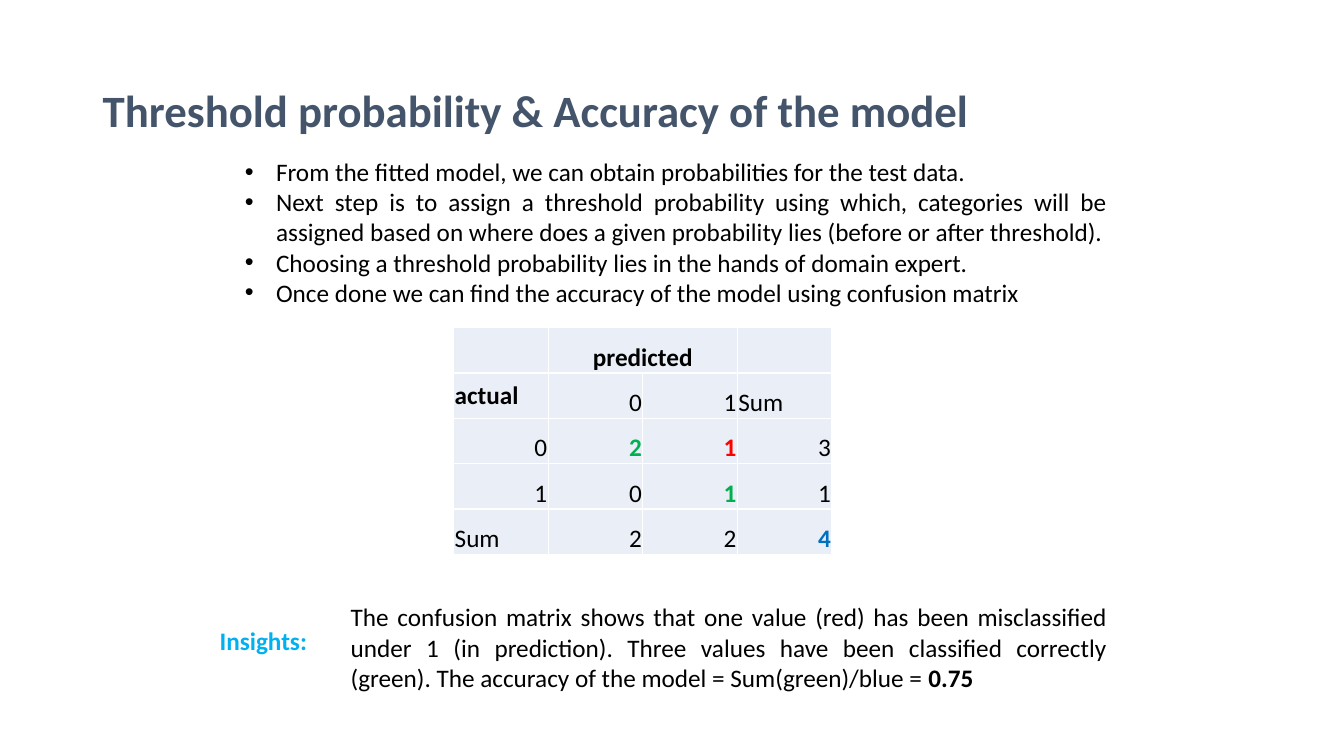
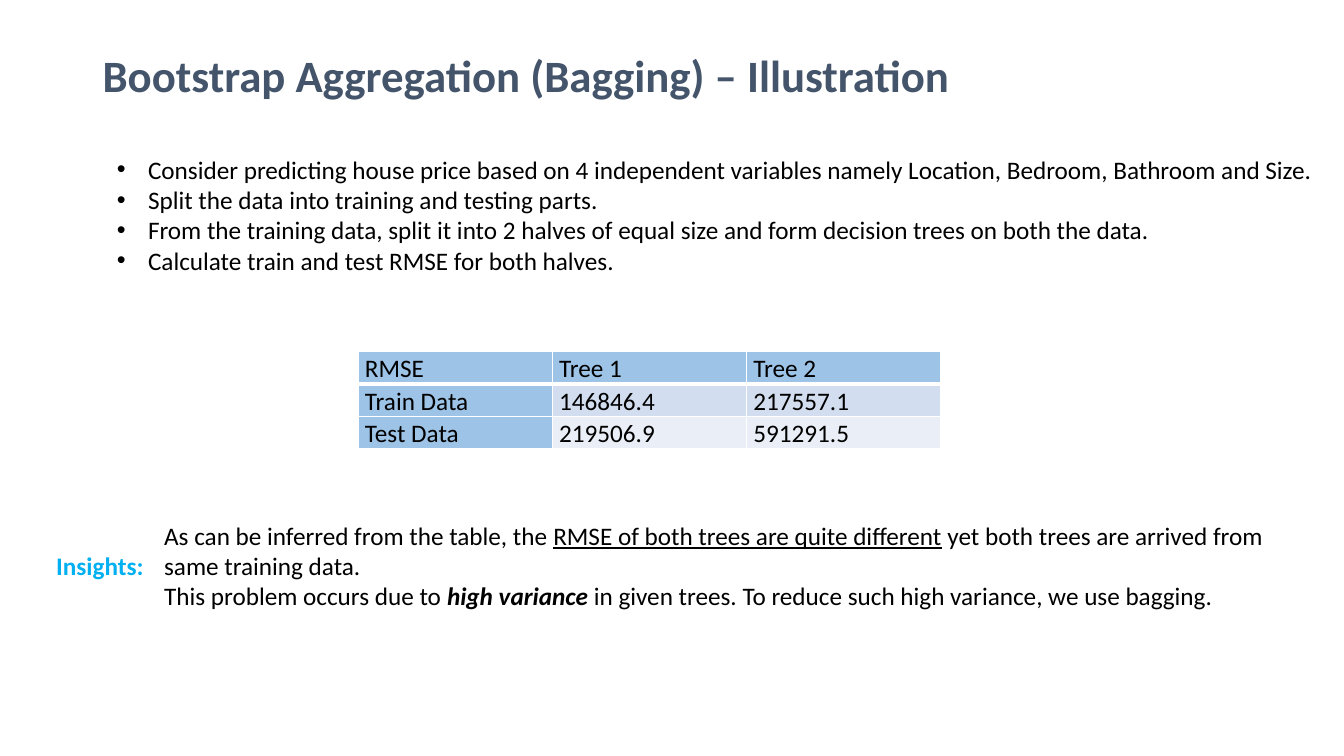
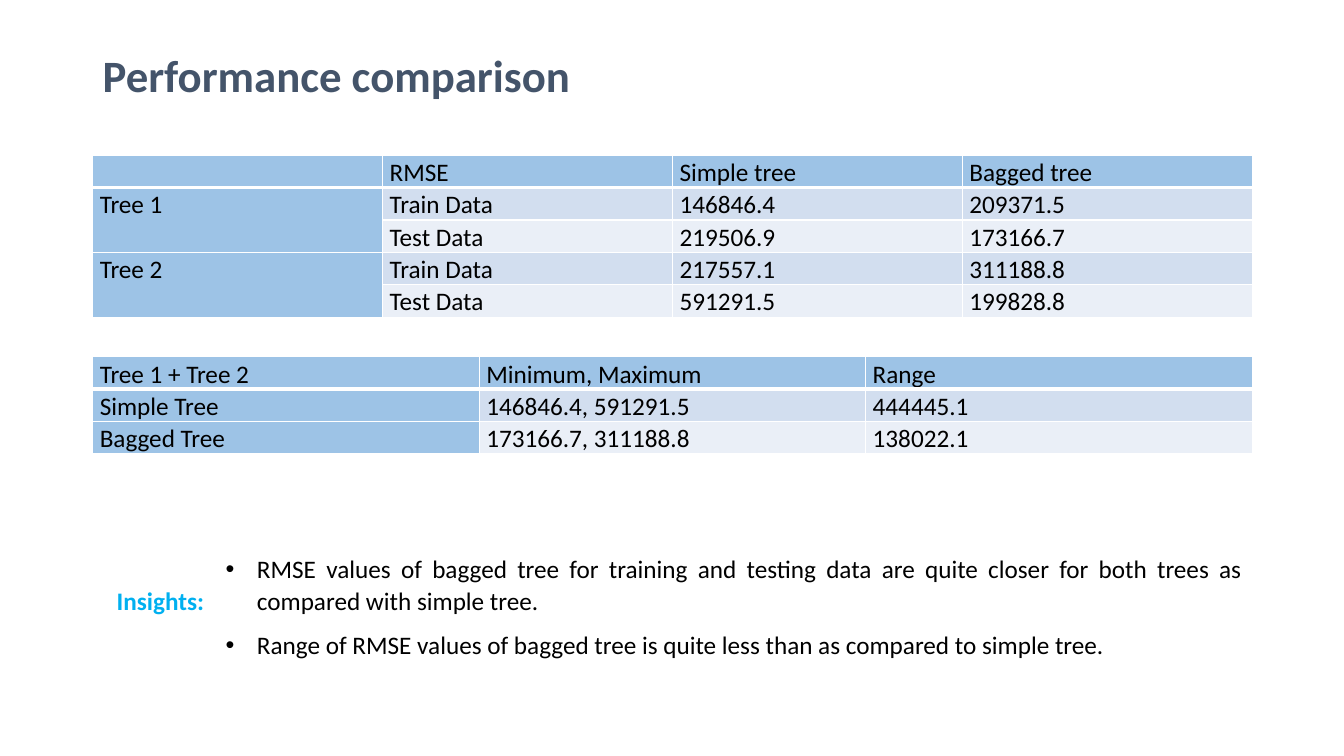
"""Three slides on model accuracy, bagging and tree performance."""
from lxml import etree
from pptx import Presentation
from pptx import util as u
from pptx.dml.color import RGBColor
from pptx.enum import text
from pptx.oxml.ns import qn

COLORS = {"title": "44546A", "body": "000000", "label": "00B0F0", "line": "FFFFFF",
          "head": "9DC3E6", "band": "D2DEEF", "light": "EAEFF7",
          "right": "00B050", "wrong": "FF0000", "total": "0070C0"}
AL, ANC = text.PP_ALIGN, text.MSO_ANCHOR
TITLE = {"size": u.Pt(32), "bold": True, "color": "title"}
LABEL = {"bold": True, "color": "label"}
BOLD = {"bold": True}


def banded_fill(row, col):
    if row == 0 or col == 0:
        return "head"
    return "band" if row % 2 else "light"


def matrix_place(words, row, col):
    if words.isdigit():
        return AL.RIGHT, ANC.BOTTOM
    return AL.CENTER if row == 0 else AL.LEFT, ANC.MIDDLE if (row, col) == (1, 0) else ANC.BOTTOM


BANDED = {"insets": (0.07, 0, 0.07, 0), "spacing": 1.07, "head_line": 3, "row": 0.32,
          "fill": banded_fill, "place": lambda words, row, col: (AL.JUSTIFY, ANC.TOP)}
MATRIX = {"insets": (0.01, 0.01, 0.01, 0), "spacing": 1, "head_line": 1, "row": 0.45,
          "fill": lambda row, col: "light", "place": matrix_place}


class Deck:
    def __init__(self):
        self.prs = Presentation()
        self.prs.slide_width, self.prs.slide_height = u.Inches(13.33), u.Inches(7.5)
        self.s = None

    def slide(self, title, at=(0.92, 0.22, 11.5, 0.84), anchor=ANC.BOTTOM):
        self.s = self.prs.slides.add_slide(self.prs.slide_layouts[6])
        self.text(at, [[(title, TITLE)]], anchor=anchor, grow=False,
                  alignment=AL.JUSTIFY, line_spacing=0.9)

    def run(self, p, words, fmt):
        r = p.add_run()
        r.text = words
        style = {"name": "Calibri", "size": u.Pt(18), "color": "body", **fmt}
        r.font.color.rgb = RGBColor.from_string(COLORS[style.pop("color")])
        for key, value in style.items():
            setattr(r.font, key, value)

    def bullet(self, p):
        pPr = p._p.get_or_add_pPr()
        pPr.set("marL", str(u.Inches(0.31)))
        pPr.set("indent", str(-u.Inches(0.31)))
        etree.SubElement(pPr, qn("a:buFont"), typeface="Arial")
        etree.SubElement(pPr, qn("a:buChar"), char="•")

    def text(self, at, paras, wrap=True, grow=True, anchor=ANC.TOP, bullets=False, **layout):
        tf = self.s.shapes.add_textbox(*map(u.Inches, at)).text_frame
        tf.word_wrap, tf.vertical_anchor = wrap, anchor
        tf.auto_size = text.MSO_AUTO_SIZE.SHAPE_TO_FIT_TEXT if grow else text.MSO_AUTO_SIZE.NONE
        for i, runs in enumerate(paras):
            p = tf.add_paragraph() if i else tf.paragraphs[0]
            if bullets:
                self.bullet(p)
            for key, value in layout.items():
                setattr(p, key, value)
            for words, fmt in [(runs, {})] if isinstance(runs, str) else runs:
                self.run(p, words, fmt)

    def insights(self, left, top, at, paras, **options):
        self.text((left, top, 1.07, 0.4), [[("Insights:", LABEL)]], wrap=False)
        self.text(at, paras, **options)

    def borders(self, cell, bottom):
        tcPr = cell._tc.get_or_add_tcPr()
        for side, width in zip("LRTB", (1, 1, 1, bottom)):
            ln = etree.SubElement(tcPr, qn("a:ln" + side), w=str(u.Pt(width)))
            fill = etree.SubElement(ln, qn("a:solidFill"))
            etree.SubElement(fill, qn("a:srgbClr"), val=COLORS["line"])

    def table(self, left, top, width, rows, look, spans=()):
        n, m = len(rows), len(rows[0])
        box = map(u.Inches, (left, top, width, look["row"] * n))
        tbl = self.s.shapes.add_table(n, m, *box).table
        for first, last in spans:
            tbl.cell(*first).merge(tbl.cell(*last))
        for i, row in enumerate(rows):
            for j, item in enumerate(row):
                words, fmt = (item, {}) if isinstance(item, str) else item
                cell = tbl.cell(i, j)
                self.borders(cell, look["head_line"] if i == 0 else 1)
                cell.fill.solid()
                cell.fill.fore_color.rgb = RGBColor.from_string(COLORS[look["fill"](i, j)])
                for side, inset in zip(("left", "top", "right", "bottom"), look["insets"]):
                    setattr(cell, "margin_" + side, u.Inches(inset))
                p = cell.text_frame.paragraphs[0]
                p.alignment, cell.vertical_anchor = look["place"](words, i, j)
                p.line_spacing = look["spacing"]
                if words:
                    self.run(p, words, fmt)


def accuracy(d):
    d.slide("Threshold probability & Accuracy of the model", (0.92, 0.4, 11.5, 1.45), ANC.MIDDLE)
    d.text((2.33, 1.5, 8.75, 1.92), [
        "From the fitted model, we can obtain probabilities for the test data.",
        "Next step is to assign a threshold probability using which, categories will be "
        "assigned based on where does a given probability lies (before or after threshold).",
        "Choosing a threshold probability lies in the hands of domain expert.",
        "Once done we can find the accuracy of the model using confusion matrix",
    ], bullets=True, alignment=AL.JUSTIFY)
    right, wrong, total = ({"bold": True, "color": c} for c in ("right", "wrong", "total"))
    d.table(4.5, 3.25, 3.75, [
        ["", ("predicted", BOLD), "", ""],
        [("actual", BOLD), "0", "1", "Sum"],
        ["0", ("2", right), ("1", wrong), "3"],
        ["1", "0", ("1", right), "1"],
        ["Sum", "2", "2", ("4", total)],
    ], MATRIX, [((0, 1), (0, 2))])
    d.insights(2.08, 6.15, (3.38, 5.92, 7.7, 1.01), [[
        ("The confusion matrix shows that one value (red) has been misclassified under 1 "
         "(in prediction). Three values have been classified correctly (green). "
         "The accuracy of the model = Sum(green)/blue = ", {}),
        ("0.75", BOLD)]], alignment=AL.JUSTIFY)


def bagging(d):
    d.slide("Bootstrap Aggregation (Bagging) – Illustration")
    d.text((1.06, 1.48, 12.21, 1.31), [
        "Consider predicting house price based on 4 independent variables namely "
        "Location, Bedroom, Bathroom and Size.",
        "Split the data into training and testing parts.",
        "From the training data, split it into 2 halves of equal size and form decision "
        "trees on both the data.",
        "Calculate train and test RMSE for both halves.",
    ], wrap=False, bullets=True)
    d.table(3.55, 3.49, 5.78, [
        ["RMSE", "Tree 1", "Tree 2"],
        ["Train Data", "146846.4", "217557.1"],
        ["Test Data", "219506.9", "591291.5"],
    ], BANDED)
    d.insights(0.46, 5.41, (1.53, 5.11, 11.44, 1.01), [
        [("As can be inferred from the table, the ", {}),
         ("RMSE of both trees are quite different", {"underline": True}),
         (" yet both trees are arrived from same training data.", {})],
        [("This problem occurs due to ", {}),
         ("high variance", {"bold": True, "italic": True}),
         (" in given trees. To reduce such high variance, we use bagging.", {})]])


def performance(d):
    d.slide("Performance comparison")
    d.table(0.92, 1.54, 11.5, [
        ["", "RMSE", "Simple tree", "Bagged tree"],
        ["Tree 1", "Train Data", "146846.4", "209371.5"],
        ["", "Test Data", "219506.9", "173166.7"],
        ["Tree 2", "Train Data", "217557.1", "311188.8"],
        ["", "Test Data", "591291.5", "199828.8"],
    ], BANDED, [((1, 0), (2, 0)), ((3, 0), (4, 0))])
    d.table(0.92, 3.54, 11.5, [
        ["Tree 1 + Tree 2", "Minimum, Maximum", "Range"],
        ["Simple Tree", "146846.4, 591291.5", "444445.1"],
        ["Bagged Tree", "173166.7, 311188.8", "138022.1"],
    ], BANDED)
    d.insights(1.06, 5.76, (2.14, 5.42, 10.28, 1.19), [
        "RMSE values of bagged tree for training and testing data are quite closer for "
        "both trees as compared with simple tree.",
        "Range of RMSE values of bagged tree is quite less than as compared to simple tree.",
    ], bullets=True, alignment=AL.JUSTIFY, line_spacing=1.07, space_after=u.Pt(8))


def main():
    d = Deck()
    for build in (accuracy, bagging, performance):
        build(d)
    d.prs.save("out.pptx")


if __name__ == "__main__":
    main()
